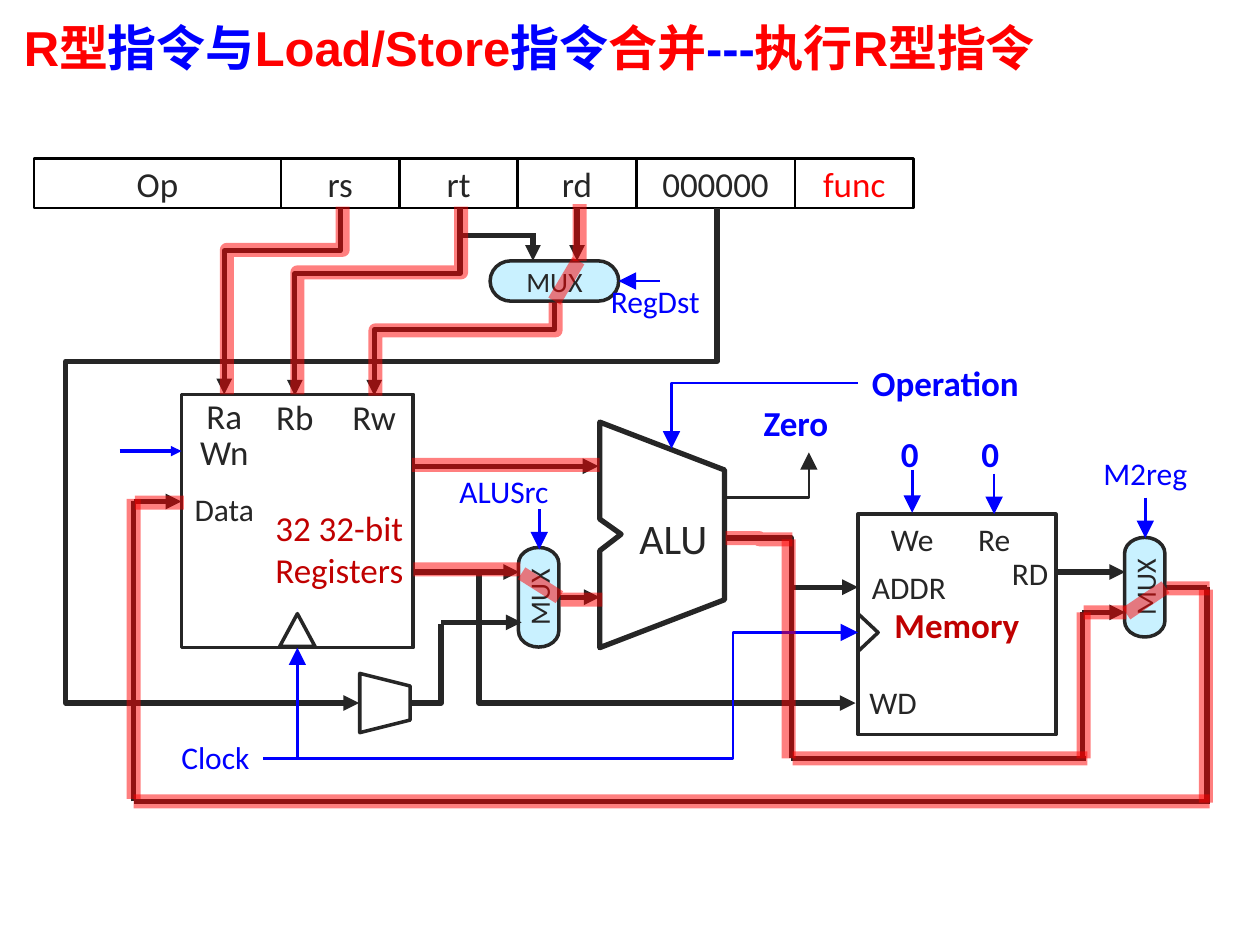
"""Build the datapath slide for R-type instructions merged with Load/Store."""
import pptx
import pptx.dml.color
import pptx.enum.shapes
import pptx.enum.text
import pptx.oxml.ns
import pptx.util
from lxml import etree
from pptx.util import Inches

COLOURS = {"ink": "262626", "black": "000000", "white": "FFFFFF", "red": "FF0000",
           "dark red": "C00000", "blue": "0000FF", "mux": "C9F1FF"}
SHAPE = pptx.enum.shapes.MSO_SHAPE
CONNECTOR = pptx.enum.shapes.MSO_CONNECTOR
ALIGN = pptx.enum.text.PP_ALIGN
ANCHOR = pptx.enum.text.MSO_ANCHOR
LEFT, CENTER, RIGHT = ALIGN.LEFT, ALIGN.CENTER, ALIGN.RIGHT

TITLE = [("R型", "red"), ("指令与", "blue"), ("Load/Store", "red"), ("指令", "blue"),
         ("合并", "red"), ("---", "blue"), ("执行R型指令", "red")]
FIELDS = [("Op", 1.96, "ink"), ("rs", 0.94, "ink"), ("rt", 0.94, "ink"),
          ("rd", 0.94, "ink"), ("000000", 1.26, "ink"), ("func", 0.94, "red")]
ALU_OUTLINE = [(4.76, 3.35), (5.75, 3.73), (5.75, 4.76), (4.76, 5.14),
               (4.76, 4.37), (4.93, 4.24), (4.76, 4.12)]
DATA_ARROWS = [
    ((8.38, 4.54), (8.93, 4.54)), ((3.27, 3.7), (4.75, 3.7)),
    ((3.27, 4.54), (4.12, 4.54)), ((3.5, 4.94), (4.14, 4.94)),
    ((4.43, 4.74), (4.76, 4.74)), ((8.59, 4.86), (8.93, 4.86)),
    ((1.06, 3.98), (1.44, 3.98)), ((4.23, 1.85), (4.23, 2.07))]
DATA_LINES = [
    ((6.28, 6.02), (6.28, 4.61)), ((8.59, 6.02), (8.59, 4.86)),
    ((6.28, 6.02), (8.62, 6.02)), ((9.25, 4.66), (9.58, 4.66)),
    ((9.58, 6.36), (9.58, 4.66)), ((1.06, 6.36), (9.6, 6.36)),
    ((1.06, 6.36), (1.06, 3.98)), ((3.67, 1.87), (4.23, 1.87))]
CONTROL_ARROWS = [
    ((7.24, 3.73), (7.24, 4.07)), ((7.89, 3.76), (7.89, 4.08)),
    ((4.28, 4.04), (4.28, 4.36)), ((9.09, 3.95), (9.09, 4.27))]
DROPS = [
    ((2.7, 1.65), (1.78, 3.13), [0.23]), ((3.65, 1.65), (2.34, 3.14), [0.35]),
    ((5.69, 1.65), (2.85, 5.58), [0.31, 1.82]), ((4.4, 2.39), (2.97, 3.14), [0.3])]
ACTIVE_DROPS = [
    ((2.72, 1.64), (1.8, 3.13), [0.23]), ((3.66, 1.64), (2.36, 3.13), [0.35]),
    ((4.41, 2.4), (2.98, 3.14), [0.3])]
ACTIVE_LINES = [
    ((4.6, 1.62), (4.6, 2.07)), ((4.59, 2.07), (4.4, 2.39)),
    ((3.27, 3.69), (4.76, 3.69)), ((3.28, 4.52), (4.13, 4.52)),
    ((4.14, 4.55), (4.44, 4.74)), ((4.45, 4.76), (4.78, 4.76)),
    ((8.6, 4.86), (8.94, 4.86)), ((6.26, 6.02), (6.26, 4.28)),
    ((8.6, 6.02), (8.6, 4.86)), ((6.29, 6.02), (8.63, 6.02)),
    ((8.94, 4.87), (9.25, 4.66)), ((9.26, 4.67), (9.6, 4.67)),
    ((9.57, 6.37), (9.57, 4.68)), ((1.06, 6.36), (9.6, 6.36)),
    ((1.06, 6.34), (1.06, 3.96)), ((1.07, 3.99), (1.46, 3.99))]
PORT_LABELS = [
    ("Ra", 1.44, 3.13, 0.68, 0.34, 20), ("Rb", 2, 3.14, 0.68, 0.34, 20),
    ("Rw", 2.63, 3.14, 0.68, 0.34, 20), ("Wn", 1.44, 3.42, 0.68, 0.34, 20),
    ("Data", 1.44, 3.89, 0.68, 0.3, 18), ("ALU", 4.93, 4.07, 0.83, 0.4, 24)]
MEMORY_LABELS = [
    ("ADDR", 6.81, 4.46, 0.95, LEFT), ("WD", 6.79, 5.37, 0.95, LEFT),
    ("RD", 7.69, 4.35, 0.74, RIGHT), ("We", 6.88, 4.08, 0.72, CENTER),
    ("Re", 7.58, 4.08, 0.62, CENTER)]
CONTROL_LABELS = [
    ("Clock", 1.25, 5.81, 0.84, RIGHT), ("ALUSrc", 3.38, 3.7, 1.24, CENTER),
    ("M2reg", 8.47, 3.55, 1.24, CENTER), ("RegDst", 4.69, 2.19, 1.02, CENTER)]
BOLD_LABELS = [("Zero", 5.95, 3.14, 0.95), ("Operation", 6.81, 2.82, 1.5),
               ("0", 7.04, 3.38, 0.4), ("0", 7.68, 3.38, 0.4)]


def rgb(name):
    """Return the named colour."""
    return pptx.dml.color.RGBColor.from_string(COLOURS[name])


def add_run(paragraph, text, size, colour, bold=False, font="Calibri"):
    """Add one formatted run to a paragraph."""
    run = paragraph.add_run()
    run.text = text
    run.font.name, run.font.size, run.font.bold = font, pptx.util.Pt(size), bold
    run.font.color.rgb = rgb(colour)


def style_shape(shape, fill, line, width):
    """Set a shape's fill and outline and remove its shadow."""
    shape.shadow.inherit = False
    if fill:
        shape.fill.solid()
        shape.fill.fore_color.rgb = rgb(fill)
    else:
        shape.fill.background()
    shape.line.color.rgb = rgb(line)
    shape.line.width = pptx.util.Pt(width)


def add_block(slide, kind, box, fill=None, line="ink", width=2, rotation=0,
              text="", size=20, colour="ink", bold=False):
    """Add a preset shape with an optional centred caption."""
    shape = slide.shapes.add_shape(kind, *map(Inches, box))
    style_shape(shape, fill, line, width)
    shape.rotation = rotation
    if text:
        shape.text_frame.vertical_anchor = ANCHOR.MIDDLE
        paragraph = shape.text_frame.paragraphs[0]
        paragraph.alignment = CENTER
        add_run(paragraph, text, size, colour, bold)
    return shape


def add_mux(slide, box, rotation=0):
    """Add a multiplexer."""
    return add_block(slide, SHAPE.FLOWCHART_TERMINATOR, box, "mux",
                     rotation=rotation, text="MUX", size=16)


def add_label(slide, lines, box, size, colour="ink", align=CENTER, bold=False, insets=(0.11, 0.05)):
    """Add a text box with one paragraph per line."""
    frame = slide.shapes.add_textbox(*map(Inches, box)).text_frame
    frame.word_wrap = True
    frame.auto_size = pptx.enum.text.MSO_AUTO_SIZE.SHAPE_TO_FIT_TEXT
    frame.margin_left = frame.margin_right = Inches(insets[0])
    frame.margin_top = frame.margin_bottom = Inches(insets[1])
    for index, text in enumerate(lines):
        paragraph = frame.add_paragraph() if index else frame.paragraphs[0]
        paragraph.alignment = align
        add_run(paragraph, text, size, colour, bold)


def add_wire(slide, start, end, colour="ink", width=3, arrow=True, active=False,
             kind=CONNECTOR.STRAIGHT):
    """Add a connector; an active one is a wide translucent red band."""
    qn = pptx.oxml.ns.qn
    if active:
        colour, width, arrow = "red", 8, False
    wire = slide.shapes.add_connector(kind, *map(Inches, (*start, *end)))
    wire.line.color.rgb = rgb(colour)
    wire.line.width = pptx.util.Pt(width)
    properties = wire.element.spPr
    line = properties.find(qn("a:ln"))
    if active:
        etree.SubElement(line.find(".//" + qn("a:srgbClr")), qn("a:alpha"), val="50000")
    if arrow:
        size = "lg" if width < 2 else "med"
        etree.SubElement(line, qn("a:tailEnd"), type="triangle", w=size, len=size)
    etree.SubElement(properties, qn("a:effectLst"))
    return wire


def add_elbow(slide, start, end, bends=(), **style):
    """Add an elbow that leaves sideways and turns at the given fractions."""
    qn = pptx.oxml.ns.qn
    wire = add_wire(slide, start, end, kind=CONNECTOR.ELBOW, **style)
    geometry = wire.element.spPr.find(qn("a:prstGeom"))
    geometry.set("prst", f"bentConnector{len(bends) + 2}")
    guides = geometry.find(qn("a:avLst"))
    for number, bend in enumerate(bends, 1):
        etree.SubElement(guides, qn("a:gd"), name=f"adj{number}", fmla=f"val {round(bend * 100000)}")
    return wire


def add_drop(slide, start, end, bends, **style):
    """Add an elbow that leaves downwards and ends lower left."""
    middle_x, middle_y = (start[0] + end[0]) / 2, (start[1] + end[1]) / 2
    half_run, half_rise = (end[1] - start[1]) / 2, (start[0] - end[0]) / 2
    wire = add_elbow(slide, (middle_x - half_run, middle_y - half_rise),
                     (middle_x + half_run, middle_y + half_rise), bends, **style)
    wire.element.spPr.find(pptx.oxml.ns.qn("a:xfrm")).set("rot", "5400000")


def add_title(slide):
    """Add the two-colour heading."""
    frame = slide.shapes.add_textbox(Inches(0.09), 0, Inches(9.19), Inches(0.75)).text_frame
    frame.word_wrap = True
    frame.vertical_anchor = ANCHOR.MIDDLE
    for text, colour in TITLE:
        add_run(frame.paragraphs[0], text, 28, colour, True, "Arial")


def add_fields(slide):
    """Add the instruction fields side by side and return them by name."""
    fields, left = {}, 0.27
    for name, width, colour in FIELDS:
        fields[name] = add_block(slide, SHAPE.RECTANGLE, (left, 1.26, width, 0.39), "white",
                                 "black", 1.5, text=name, colour=colour)
        left += width
    return fields


def add_alu(slide):
    """Add the notched ALU outline."""
    first, *others = [(Inches(x), Inches(y)) for x, y in ALU_OUTLINE]
    builder = slide.shapes.build_freeform(*first)
    builder.add_line_segments(others, close=True)
    style_shape(builder.convert_to_shape(), None, "ink", 3)


def add_wires(slide, fields, registers, destination_mux):
    """Add the data, control and clock wires."""
    for start, end, bends in DROPS:
        add_drop(slide, start, end, bends)
    for start, end in DATA_ARROWS:
        add_wire(slide, start, end)
    for start, end in DATA_LINES:
        add_wire(slide, start, end, arrow=False)
    for start, end in CONTROL_ARROWS:
        add_wire(slide, start, end, "blue", 1.5)
    add_wire(slide, (0.95, 3.58), (1.44, 3.58), "blue", 2)
    add_wire(slide, (4.58, 1.65), (4.58, 2.07)).begin_connect(fields["rd"], 2)
    add_wire(slide, (2.36, 6.02), (2.36, 5.14), "blue", 1.5).end_connect(registers, 2)
    add_wire(slide, (5.24, 2.23), (4.91, 2.23), "blue", 1.5).end_connect(destination_mux, 3)
    add_elbow(slide, (5.75, 3.95), (6.42, 3.59), width=1.5)
    add_elbow(slide, (5.75, 4.27), (6.81, 4.66), [0.5])
    add_elbow(slide, (3.47, 4.54), (6.79, 5.58), [0.1])
    add_elbow(slide, (3.25, 5.58), (3.5, 4.95), arrow=False)
    add_elbow(slide, (6.81, 3.04), (5.33, 3.56), [1], colour="blue", width=1.5)
    add_elbow(slide, (2.09, 6.02), (6.81, 5.02), [0.79], colour="blue", width=1.5)


def add_labels(slide):
    """Add the port, memory and control captions."""
    for text, left, top, width, height, size in PORT_LABELS:
        add_label(slide, [text], (left, top, width, height), size, insets=(0, 0))
    for labels, colour in ((MEMORY_LABELS, "ink"), (CONTROL_LABELS, "blue")):
        for text, left, top, width, align in labels:
            add_label(slide, [text], (left, top, width, 0.41), 18, colour, align)
    for text, left, top, width in BOLD_LABELS:
        add_label(slide, [text], (left, top, width, 0.45), 20, "blue", LEFT, True)
    add_label(slide, ["32 32-bit", "Registers"], (1.62, 3.97, 1.69, 0.78), 20, "dark red", RIGHT)


def main():
    """Build and save the slide."""
    presentation = pptx.Presentation()
    presentation.slide_width, presentation.slide_height = Inches(10), Inches(7.5)
    slide = presentation.slides.add_slide(presentation.slide_layouts[6])
    add_title(slide)
    fields = add_fields(slide)
    add_block(slide, SHAPE.RECTANGLE, (6.81, 4.08, 1.57, 1.75), "white",
              text="Memory", colour="dark red", bold=True)
    registers = add_block(slide, SHAPE.RECTANGLE, (1.44, 3.13, 1.84, 2.01))
    add_block(slide, SHAPE.FLOWCHART_MERGE, (2.22, 4.87, 0.28, 0.26), rotation=180)
    add_block(slide, SHAPE.FLOWCHART_MERGE, (6.74, 4.94, 0.3, 0.16), rotation=270)
    add_block(slide, SHAPE.TRAPEZOID, (2.82, 5.38, 0.47, 0.4), rotation=90)
    add_alu(slide)
    destination_mux = add_mux(slide, (3.89, 2.07, 1.02, 0.32))
    for left, top in ((3.88, 4.58), (8.69, 4.5)):
        add_mux(slide, (left, top, 0.79, 0.32), 270)
    add_wires(slide, fields, registers, destination_mux)
    add_labels(slide)
    for start, end, bends in ACTIVE_DROPS:
        add_drop(slide, start, end, bends, active=True)
    add_elbow(slide, (5.76, 4.27), (6.29, 4.28), [0.5], active=True)
    for start, end in ACTIVE_LINES:
        add_wire(slide, start, end, active=True)
    presentation.save("out.pptx")


if __name__ == "__main__":
    main()
